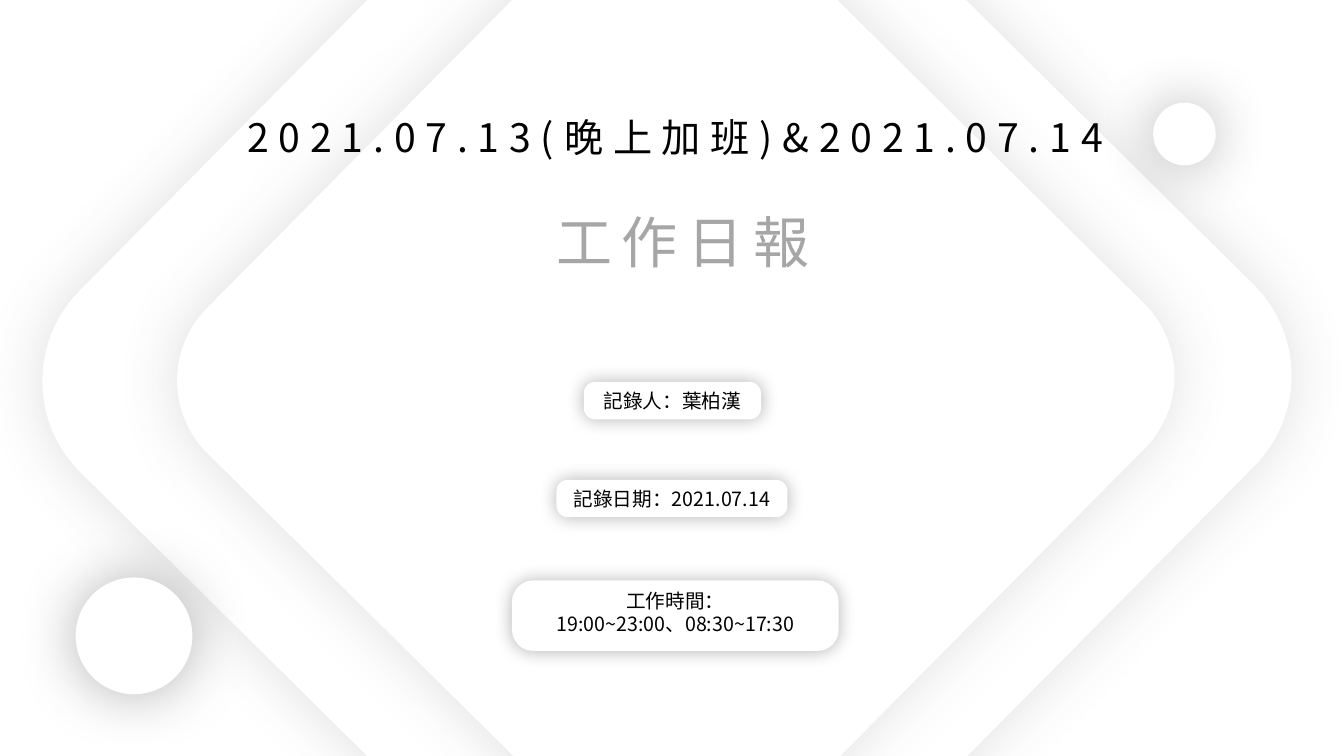
from collections import namedtuple
from dataclasses import dataclass

from lxml import etree
from pptx import Presentation
from pptx.dml.color import RGBColor
from pptx.enum.shapes import MSO_SHAPE
from pptx.enum.text import MSO_ANCHOR, PP_ALIGN
from pptx.oxml.ns import qn
from pptx.util import Inches, Pt

Box = namedtuple("Box", "x y width height")  # centre and size, in grid cells
Shadow = namedtuple("Shadow", "colour alpha blur")


@dataclass(frozen=True)
class Theme:
    font: str = "Noto Sans CJK SC"
    white: str = "FFFFFF"
    black: str = "000000"
    grey: str = "A6A6A6"
    title_size: float = 28
    subtitle_size: float = 40
    label_size: float = 14
    label_leading: float = 16.4
    tracking: float = 7
    diamond_shadow: Shadow = Shadow("595959", 19, 43)
    circle_shadow: Shadow = Shadow("000000", 30, 43)
    label_shadow: Shadow = Shadow("000000", 30, 13)


THEME = Theme()
WIDTH, HEIGHT = Inches(13.33), Inches(7.5)
COLUMNS, ROWS = 32, 18


def frame(box):
    """Turn a centred grid box into left, top, width and height."""
    column, row = WIDTH / COLUMNS, HEIGHT / ROWS
    return (round((box.x - box.width / 2) * column),
            round((box.y - box.height / 2) * row),
            round(box.width * column), round(box.height * row))


def inside(region, x, y, width, height):
    """Place a part by its offset from the region's top left corner."""
    return Box(region.x - region.width / 2 + x,
               region.y - region.height / 2 + y, width, height)


def add_soft_shape(parent, preset, box, shadow, corner=None, rotation=0):
    shape = parent.add_shape(preset, *frame(box))
    shape.fill.solid()
    shape.fill.fore_color.rgb = RGBColor.from_string(THEME.white)
    shape.line.fill.background()
    shape.rotation = rotation
    if corner is not None:
        shape.adjustments[0] = corner
    # Soft glow of shade around the outline
    shape.shadow.inherit = False
    effects = shape._element.spPr.find(qn("a:effectLst"))
    outer = etree.SubElement(effects, qn("a:outerShdw"), blurRad=str(Pt(shadow.blur)),
                             dist="0", dir="0", algn="ctr", rotWithShape="0")
    colour = etree.SubElement(outer, qn("a:srgbClr"), val=shadow.colour)
    etree.SubElement(colour, qn("a:alpha"), val=str(shadow.alpha * 1000))


def add_text(parent, box, lines, size, colour, tracking=0, leading=None):
    text_frame = parent.add_textbox(*frame(box)).text_frame
    text_frame.word_wrap = True
    text_frame.vertical_anchor = MSO_ANCHOR.MIDDLE
    for index, line in enumerate(lines):
        para = text_frame.paragraphs[0] if index == 0 else text_frame.add_paragraph()
        para.alignment = PP_ALIGN.CENTER
        if leading:
            para.line_spacing = Pt(leading)
        span = para.add_run()
        span.text = line
        for name, value in {"size": Pt(size), "name": THEME.font}.items():
            setattr(span.font, name, value)
        span.font.color.rgb = RGBColor.from_string(colour)
        properties = span.font._element
        etree.SubElement(properties, qn("a:ea"), typeface=THEME.font)
        if tracking:
            properties.set("spc", str(tracking * 100))


def draw_diamonds(page, region):
    for x, side in ((15.88, 22.82), (16.09, 18.22)):
        add_soft_shape(page.shapes, MSO_SHAPE.ROUNDED_RECTANGLE,
                       inside(region, x, 9.01, side, side),
                       THEME.diamond_shadow, corner=0.134, rotation=44.7)


def draw_headings(page, region):
    headings = (
        ("2021.07.13(晚上加班)&2021.07.14", (16.08, 3.25, 23.62, 1.37),
         THEME.title_size, THEME.black),
        ("工作日報", (16.26, 5.75, 11.4, 1.85), THEME.subtitle_size, THEME.grey),
    )
    for line, place, size, colour in headings:
        add_text(page.shapes, inside(region, *place), [line], size, colour,
                 tracking=THEME.tracking)


def draw_circles(page, region):
    for x, y, diameter in ((3.19, 15.14, 2.78), (28.2, 3.19, 1.49)):
        add_soft_shape(page.shapes, MSO_SHAPE.OVAL,
                       inside(region, x, y, diameter, diameter), THEME.circle_shadow)


def draw_labels(page, region):
    # Pill place, text width, lines
    labels = (
        ((16.01, 9.54, 4.22, 0.89), 5.02, ["記錄人：葉柏漢"]),
        ((16, 11.87, 5.5, 0.89), 5.78, ["記錄日期：2021.07.14"]),
        ((16.08, 14.66, 7.78, 1.68), 8.18, ["工作時間：", "19:00~23:00、08:30~17:30"]),
    )
    for place, text_width, lines in labels:
        pill = inside(region, *place)
        several = len(lines) > 1
        text_box = pill._replace(y=pill.y - 0.08 * several, width=text_width,
                                 height=1.37 if several else 0.82)
        group = page.shapes.add_group_shape().shapes
        add_soft_shape(group, MSO_SHAPE.ROUNDED_RECTANGLE, pill,
                       THEME.label_shadow, corner=0.302)
        add_text(group, text_box, lines, THEME.label_size, THEME.black,
                 leading=THEME.label_leading if several else None)


def draw_cover(deck):
    page = deck.slides.add_slide(deck.slide_layouts[6])
    page.background.fill.solid()
    page.background.fill.fore_color.rgb = RGBColor.from_string(THEME.white)
    region = Box(COLUMNS / 2, ROWS / 2, COLUMNS, ROWS)
    for draw in (draw_diamonds, draw_headings, draw_circles, draw_labels):
        draw(page, region)


def main():
    deck = Presentation()
    deck.slide_width, deck.slide_height = WIDTH, HEIGHT
    draw_cover(deck)
    deck.save("out.pptx")


if __name__ == "__main__":
    main()
